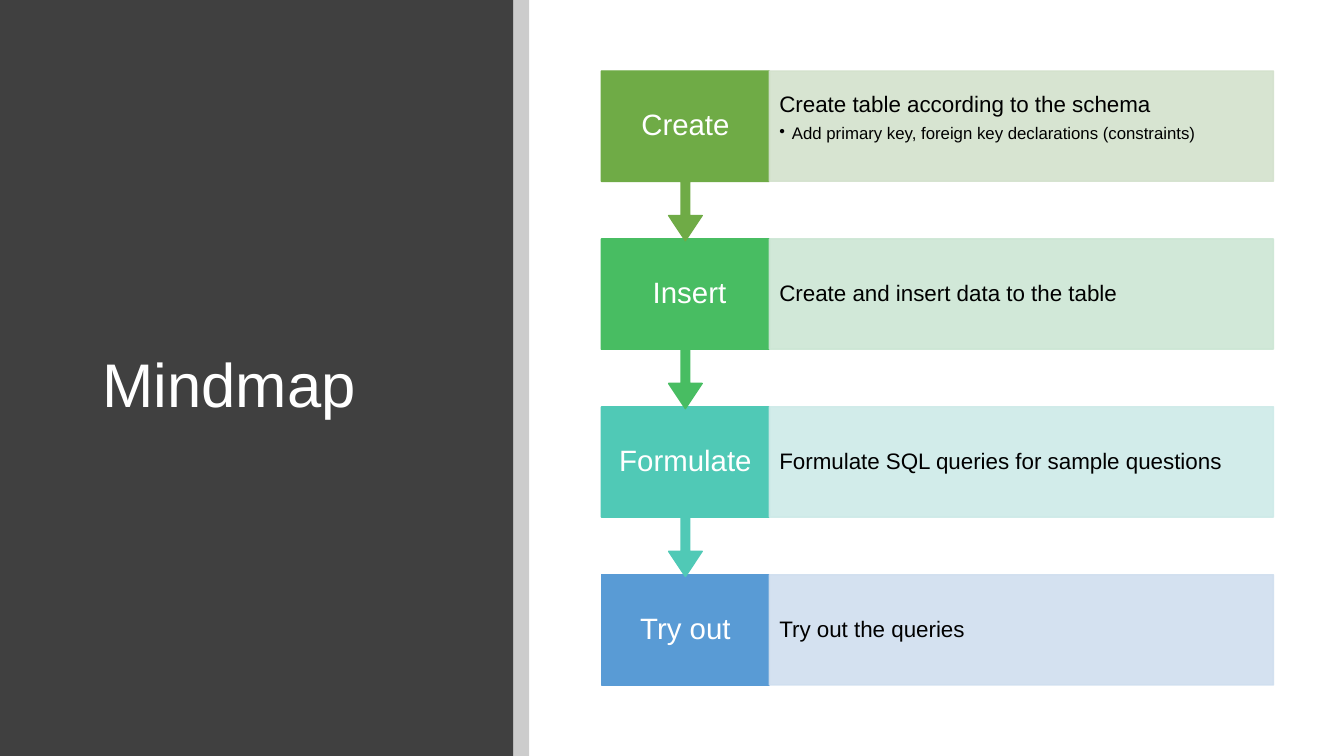
from lxml.etree import SubElement
from pptx import Presentation
from pptx.dml.color import RGBColor
from pptx.enum.shapes import MSO_SHAPE as SHAPE
from pptx.enum.text import MSO_ANCHOR as ANCHOR, MSO_AUTO_SIZE as FIT, PP_ALIGN as ALIGN
from pptx.oxml.ns import qn
from pptx.util import Pt

COLORS = {
    "panel": "404040", "white": "FFFFFF", "black": "000000",
    "create": "6FAB46", "create_tint": "D3E1CC",
    "insert": "48BD62", "insert_tint": "CCE6D4",
    "formulate": "50C9B6", "formulate_tint": "CDEAE8",
    "try": "599BD5", "try_tint": "CFDEEF",
}
STEPS = [
    ("create", "Create", "Create table according to the schema",
     "Add primary key, foreign key declarations (constraints)"),
    ("insert", " Insert", "Create and insert data to the table", None),
    ("formulate", "Formulate", "Formulate SQL queries for sample questions", None),
    ("try", "Try out", "Try out the queries", None),
]


def rgb(name):
    return RGBColor.from_string(COLORS[name])


def add_block(s, box, color, kind=SHAPE.RECTANGLE, alpha=100, outline=True):
    sp = s.shapes.add_shape(kind, *(Pt(v) for v in box))
    sp.shadow.inherit = False
    sp.fill.solid()
    sp.fill.fore_color.rgb = rgb(color)
    if outline:
        sp.line.color.rgb = rgb(color)
        sp.line.width = Pt(1)
    else:
        sp.line.fill.background()
    if alpha < 100:
        for clr in sp.element.spPr.iter(qn("a:srgbClr")):
            SubElement(clr, qn("a:alpha"), val=str(alpha * 1000))
    return sp


def set_frame(tf, side, edge, anchor=ANCHOR.MIDDLE):
    tf.word_wrap = True
    tf.auto_size = FIT.NONE
    tf.vertical_anchor = anchor
    tf.margin_left = tf.margin_right = Pt(side)
    tf.margin_top = tf.margin_bottom = Pt(edge)


def write(p, text, size, color="black", align=ALIGN.LEFT, before=0, bullet=False):
    p.alignment = align
    p.line_spacing = 0.9
    p.space_before = Pt(before)
    if bullet:
        p.level = 1
        pPr = p._p.get_or_add_pPr()
        pPr.set("marL", str(Pt(9)))
        pPr.set("indent", str(-Pt(9)))
        SubElement(pPr, qn("a:buChar"), char="•")
    r = p.add_run()
    r.text = text
    r.font.name = "Arial"
    r.font.size = Pt(size)
    r.font.color.rgb = rgb(color)


def add_title_panel(s, x, y, w, h):
    title = s.shapes.title
    panel = add_block(s, (x, y, w, h), "panel", outline=False)
    title.element.addprevious(panel.element)
    title.left, title.top = Pt(x + 66), Pt(y + 64)
    title.width, title.height = Pt(263), Pt(425.5)
    set_frame(title.text_frame, 7.2, 3.6)
    write(title.text_frame.paragraphs[0], "Mindmap", 44, "white")
    add_block(s, (x + w, y, 11.5, h), "black", alpha=20, outline=False)


def add_step(s, x, y, w, h, step, last):
    color, label, text, detail = step
    label_w = w / 4
    if last:
        sp = add_block(s, (x, y, label_w, h), color)
    else:
        sp = add_block(s, (x, y, label_w, h / 0.65), color, SHAPE.DOWN_ARROW_CALLOUT)
        for i, value in enumerate((0.05, 0.1, 0.15, 0.65)):
            sp.adjustments[i] = value
    set_frame(sp.text_frame, 8.5, 11.4)
    write(sp.text_frame.paragraphs[0], label, 21, "white", ALIGN.CENTER)

    sp = add_block(s, (x + label_w, y, w - label_w, h), color + "_tint", alpha=89)
    tf = sp.text_frame
    set_frame(tf, 7.2, 16, ANCHOR.TOP if detail else ANCHOR.MIDDLE)
    write(tf.paragraphs[0], text, 16)
    if detail:
        write(tf.add_paragraph(), detail, 12, before=5.6, bullet=True)


def add_steps(s, x, y, w, h, row_h):
    pitch = (h - row_h) / (len(STEPS) - 1)
    last = len(STEPS) - 1
    for i in range(last, -1, -1):
        add_step(s, x, y + i * pitch, w, row_h, STEPS[i], i == last)


def main():
    prs = Presentation()
    prs.slide_width, prs.slide_height = Pt(960), Pt(540)
    s = prs.slides.add_slide(prs.slide_layouts[5])
    add_title_panel(s, 0, 0, 366.5, 540)
    add_steps(s, 429.6, 50.7, 480, 438.6, 78.8)
    prs.save("out.pptx")


if __name__ == "__main__":
    main()
